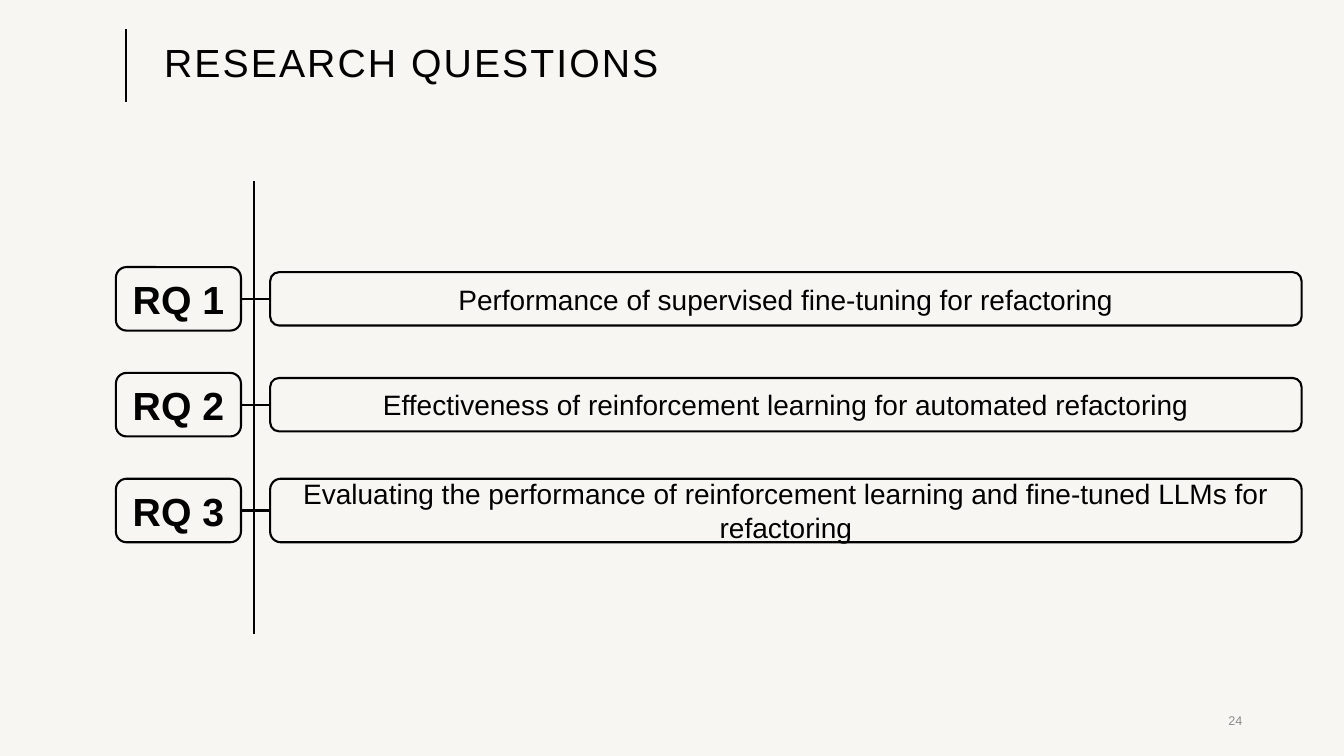
"""Build the research questions slide."""
from lxml import etree
from pptx import Presentation
from pptx.dml.color import RGBColor
from pptx.enum import shapes, text
from pptx.oxml.ns import qn
from pptx.util import Inches, Pt

PAPER = RGBColor(0xF7, 0xF6, 0xF3)
BLACK = RGBColor(0, 0, 0)
GRAY = RGBColor(0x8C, 0x8C, 0x8C)

QUESTIONS = [
    ("Performance of supervised fine-tuning for refactoring", 0.53),
    ("Effectiveness of reinforcement learning for automated refactoring", 0.53),
    ("Evaluating the performance of reinforcement learning and "
     "fine-tuned LLMs for refactoring", 0.63),
]
FIRST_CENTER, ROW_PITCH = 2.965, 1.05
LABEL_LEFT, LABEL_WIDTH, LABEL_HEIGHT = 1.15, 1.24, 0.63
QUESTION_LEFT, QUESTION_WIDTH = 2.68, 10.23


def write(shape, words, size, color=BLACK, align=text.PP_ALIGN.LEFT, bold=False):
    frame = shape.text_frame
    frame.word_wrap = True
    frame.vertical_anchor = text.MSO_ANCHOR.MIDDLE
    para = frame.paragraphs[0]
    para.text = words
    para.alignment = align
    para.font.name = "Arial"
    para.font.size = Pt(size)
    para.font.bold = bold
    para.font.color.rgb = color
    return para


def add_text(page, left, top, width, height, words, size, **style):
    box = page.shapes.add_textbox(
        Inches(left), Inches(top), Inches(width), Inches(height))
    return write(box, words, size, **style)


def add_rounded_box(page, left, center, width, height, words, size, bold=False):
    box = page.shapes.add_shape(
        shapes.MSO_SHAPE.FLOWCHART_ALTERNATE_PROCESS,
        Inches(left), Inches(center - height / 2), Inches(width), Inches(height))
    box.shadow.inherit = False
    box.fill.solid()
    box.fill.fore_color.rgb = PAPER
    box.line.color.rgb = BLACK
    box.line.width = Pt(1.5)
    write(box, words, size, align=text.PP_ALIGN.CENTER, bold=bold)


def add_line(page, x1, y1, x2, y2):
    line = page.shapes.add_connector(
        shapes.MSO_CONNECTOR.STRAIGHT,
        Inches(x1), Inches(y1), Inches(x2), Inches(y2))
    line.line.color.rgb = BLACK
    line.line.width = Pt(1.5)
    etree.SubElement(line._element.spPr, qn("a:effectLst"))


def add_title(page, words):
    add_line(page, 1.25, 0.29, 1.25, 1.01)
    para = add_text(page, 1.53, 0.29, 10.89, 0.71, words, 28)
    para.line_spacing = 0.9
    para.runs[0].font._element.set("spc", "150")


def add_question(page, number, words, height):
    center = FIRST_CENTER + (number - 1) * ROW_PITCH
    add_rounded_box(page, QUESTION_LEFT, center, QUESTION_WIDTH, height, words, 20)
    add_rounded_box(page, LABEL_LEFT, center, LABEL_WIDTH, LABEL_HEIGHT,
                    f"RQ {number}", 28, bold=True)
    add_line(page, LABEL_LEFT + LABEL_WIDTH, center, QUESTION_LEFT, center)


def main():
    deck = Presentation()
    deck.slide_width, deck.slide_height = Inches(13.33), Inches(7.5)
    page = deck.slides.add_slide(deck.slide_layouts[6])
    page.background.fill.solid()
    page.background.fill.fore_color.rgb = PAPER

    add_title(page, "RESEARCH QUESTIONS")
    add_line(page, 2.52, 1.8, 2.52, 6.29)
    for number, (words, height) in enumerate(QUESTIONS, start=1):
        add_question(page, number, words, height)
    add_text(page, 9.42, 6.95, 3, 0.4, "24", 9,
             color=GRAY, align=text.PP_ALIGN.RIGHT)
    deck.save("out.pptx")


if __name__ == "__main__":
    main()
